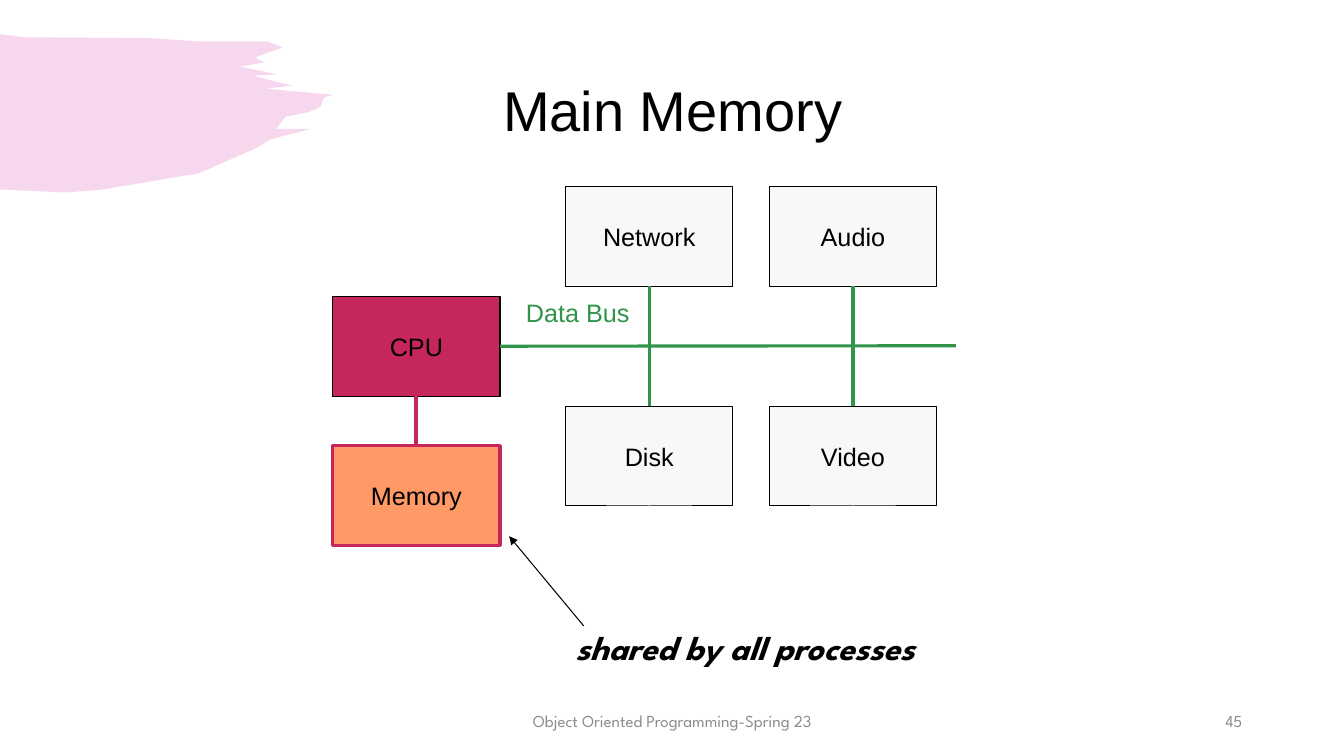
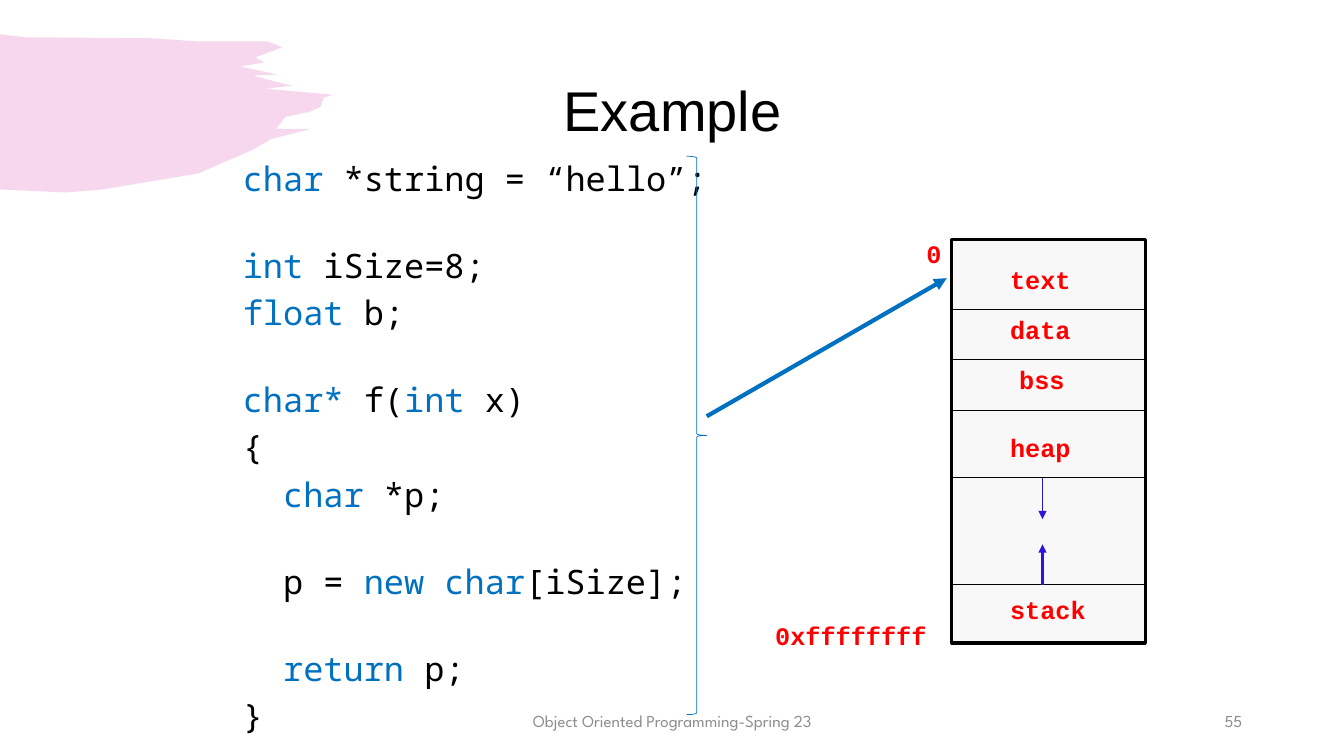
"""Build two lecture slides on main memory and the layout of a program in memory."""
from lxml import etree
from pptx import Presentation
from pptx.dml.color import RGBColor
from pptx.enum.shapes import MSO_CONNECTOR, MSO_SHAPE
from pptx.enum.text import MSO_ANCHOR, MSO_AUTO_SIZE, PP_ALIGN
from pptx.oxml.ns import qn
from pptx.util import Inches, Pt

LEFT, CENTER, RIGHT = PP_ALIGN.LEFT, PP_ALIGN.CENTER, PP_ALIGN.RIGHT
TOP, MIDDLE = MSO_ANCHOR.TOP, MSO_ANCHOR.MIDDLE
STRAIGHT = MSO_CONNECTOR.STRAIGHT
RECTANGLE, RIGHT_BRACE = MSO_SHAPE.RECTANGLE, MSO_SHAPE.RIGHT_BRACE
NO_AUTOFIT = MSO_AUTO_SIZE.NONE

BLACK = RGBColor(0x00, 0x00, 0x00)
GRAY = RGBColor(0x8C, 0x8C, 0x8C)
PALE = RGBColor(0xF8, 0xF8, 0xF8)
PINK = RGBColor(0xD7, 0x39, 0xAE)
CRIMSON = RGBColor(0xC5, 0x27, 0x5A)
ORANGE = RGBColor(0xFF, 0x99, 0x66)
GREEN = RGBColor(0x31, 0x94, 0x4B)
BLUE = RGBColor(0x00, 0x70, 0xC0)
VIOLET = RGBColor(0x2C, 0x14, 0xDE)
RED = RGBColor(0xFF, 0x00, 0x00)

SANS, SCRIPT = "Arial", "League Spartan"
MONO, CODE_FONT = "Courier New", "Noto Sans Mono"

BRUSH_OUTLINE = (
    (0.25, 0.37), (1.51, 0.38), (1.94, 0.41), (2.65, 0.41), (2.8, 0.47),
    (2.53, 0.57), (2.62, 0.62), (2.38, 0.66), (2.75, 0.74), (2.51, 0.75),
    (2.73, 0.81), (2.9, 0.85), (2.63, 0.88), (3.3, 0.94), (3.21, 0.97),
    (3.18, 1.06), (3.07, 1.11), (2.83, 1.16), (2.74, 1.28), (3.08, 1.28),
    (2.69, 1.38), (2.52, 1.48), (1.97, 1.72), (1.02, 1.88), (0.65, 1.91), (0, 1.88),
)


def add_text(page, at, text, size, font, color, align=LEFT, anchor=TOP, bold=False, italic=False):
    """Add a one-line text box."""
    box = page.shapes.add_textbox(*map(Inches, at))
    box.text_frame.word_wrap = True
    box.text_frame.vertical_anchor = anchor
    para = box.text_frame.paragraphs[0]
    para.alignment = align
    span = para.add_run()
    span.text = text
    span.font.size, span.font.name, span.font.color.rgb = Pt(size), font, color
    span.font.bold, span.font.italic = bold, italic


def add_line(page, start, end, color, width, arrow=False):
    """Add a straight line, with an arrowhead at its end if wanted."""
    line = page.shapes.add_connector(STRAIGHT, *map(Inches, start + end))
    line.line.color.rgb = color
    line.line.width = Pt(width)
    if arrow:
        etree.SubElement(line.element.spPr.find(qn("a:ln")), qn("a:tailEnd"), type="triangle")
    etree.SubElement(line.element.spPr, qn("a:effectLst"))
    return line


deck = Presentation()
deck.slide_width, deck.slide_height = Inches(13.33), Inches(7.5)
layout = deck.slide_layouts.get_by_name("Title Only")
heading = layout.placeholders[0]
heading.left, heading.top, heading.width, heading.height = map(Inches, (0.92, 0.4, 11.5, 1.45))

pages = []
for title, number in (("Main Memory", "45"), ("Example", "55")):
    page = deck.slides.add_slide(layout)
    frame = page.shapes.title.text_frame
    frame.auto_size = NO_AUTOFIT
    frame.vertical_anchor = MIDDLE
    para = frame.paragraphs[0]
    para.alignment, para.line_spacing = CENTER, 0.9
    span = para.add_run()
    span.text = title
    span.font.size, span.font.name, span.font.color.rgb = Pt(40), SANS, BLACK
    add_text(page, (4.42, 6.95, 4.5, 0.4), "Object Oriented Programming-Spring 23",
             12, SCRIPT, GRAY, CENTER, MIDDLE)
    add_text(page, (9.42, 6.95, 3, 0.4), number, 12, SCRIPT, GRAY, RIGHT, MIDDLE)
    pages.append(page)
memory_page, example_page = pages

builder = memory_page.shapes.build_freeform(0, Inches(0.34))
builder.add_line_segments([(Inches(x), Inches(y)) for x, y in BRUSH_OUTLINE], close=True)
brush = builder.convert_to_shape()
brush.shadow.inherit = False
brush.fill.solid()
brush.fill.fore_color.rgb = PINK
brush.line.fill.background()
brush_color = brush.element.spPr.find(qn("a:solidFill"))[0]
etree.SubElement(brush_color, qn("a:alpha"), val="20000")
layout.shapes.element.insert(2, brush.element)

parts = {}
for name, left, top, fill, edge, width in (
    ("CPU", 3.3, 2.94, CRIMSON, BLACK, 0.75),
    ("Memory", 3.3, 4.42, ORANGE, CRIMSON, 2.25),
    ("Network", 5.61, 1.85, PALE, BLACK, 0.75),
    ("Audio", 7.63, 1.85, PALE, BLACK, 0.75),
    ("Disk", 5.61, 4.03, PALE, BLACK, 0.75),
    ("Video", 7.63, 4.03, PALE, BLACK, 0.75),
):
    box = memory_page.shapes.add_shape(RECTANGLE, *map(Inches, (left, top, 1.66, 0.99)))
    box.shadow.inherit = False
    box.fill.solid()
    box.fill.fore_color.rgb = fill
    box.line.color.rgb, box.line.width = edge, Pt(width)
    box.text_frame.word_wrap = False
    box.text_frame.vertical_anchor = MIDDLE
    para = box.text_frame.paragraphs[0]
    para.alignment = CENTER
    span = para.add_run()
    span.text = name
    span.font.size, span.font.name, span.font.color.rgb = Pt(18), SANS, BLACK
    parts[name] = box

for upper, lower, color, width in (
    ("CPU", "Memory", CRIMSON, 2.75),
    ("Network", "Disk", GREEN, 2.25),
    ("Audio", "Video", GREEN, 2.25),
):
    link = add_line(memory_page, (0, 0), (0, 0), color, width)
    link.begin_connect(parts[upper], 2)
    link.end_connect(parts[lower], 0)
bus = add_line(memory_page, (4.96, 3.43), (9.48, 3.43), GREEN, 2.25)
bus.begin_connect(parts["CPU"], 3)
add_text(memory_page, (5.01, 2.9, 1.44, 0.52), "Data Bus", 18, SANS, GREEN, CENTER)
add_text(memory_page, (5.61, 6.17, 4.42, 0.51), "shared by all processes",
         24, SCRIPT, BLACK, bold=True, italic=True)
add_line(memory_page, (5.79, 6.21), (5.05, 5.32), BLACK, 0.75, arrow=True)

LINE_GAP, BLOCK_GAP = 4.8, 33.4
code_lines = (
    (0, (("char", BLUE), (" *string = “hello”;", BLACK))),
    (BLOCK_GAP, (("int ", BLUE), ("iSize=8;", BLACK))),
    (LINE_GAP, (("float", BLUE), (" b;", BLACK))),
    (BLOCK_GAP, (("char* ", BLUE), ("f(", BLACK), ("int", BLUE), (" x)", BLACK))),
    (LINE_GAP, (("{", BLACK),)),
    (LINE_GAP, (("  char", BLUE), (" *p;", BLACK))),
    (BLOCK_GAP, (("  p = ", BLACK), ("new char", BLUE), ("[iSize];", BLACK))),
    (BLOCK_GAP, (("  return", BLUE), (" p;", BLACK))),
    (LINE_GAP, (("}", BLACK),)),
)
code = example_page.shapes.add_textbox(*map(Inches, (2.31, 1.52, 9, 5.68))).text_frame
code.word_wrap = True
for index, (gap, spans) in enumerate(code_lines):
    para = code.add_paragraph() if index else code.paragraphs[0]
    para.space_before = Pt(gap)
    for text, color in spans:
        span = para.add_run()
        span.text = text
        span.font.size, span.font.name, span.font.color.rgb = Pt(24), CODE_FONT, color

memory_map = example_page.shapes.add_shape(RECTANGLE, *map(Inches, (9.44, 2.38, 1.92, 4)))
memory_map.shadow.inherit = False
memory_map.fill.solid()
memory_map.fill.fore_color.rgb = PALE
memory_map.line.color.rgb, memory_map.line.width = BLACK, Pt(2.25)
for y in (3.07, 3.57, 4.07, 4.74, 5.8):
    add_line(example_page, (9.44, y), (11.35, y), BLACK, 0.75)
for text, left, top, width in (
    ("0", 9.09, 2.32, 0.42),
    ("0xffffffff", 7.59, 6.11, 1.8),
    ("text", 9.92, 2.57, 1.25),
    ("data", 9.92, 3.07, 1.25),
    ("bss", 10.01, 3.57, 1.25),
    ("heap", 9.92, 4.24, 1.25),
    ("stack", 9.92, 5.85, 1.25),
):
    add_text(example_page, (left, top, width, 0.4), text, 18, MONO, RED, bold=True)
add_line(example_page, (10.34, 4.74), (10.34, 5.15), VIOLET, 1.25, arrow=True)
add_line(example_page, (10.34, 5.8), (10.34, 5.4), VIOLET, 1.5, arrow=True)
add_line(example_page, (7.01, 4.13), (9.39, 2.76), BLUE, 3, arrow=True)

brace = example_page.shapes.add_shape(RIGHT_BRACE, *map(Inches, (6.81, 1.55, 0.2, 5.54)))
brace.shadow.inherit = False
brace.fill.background()
brace.line.color.rgb, brace.line.width = BLUE, Pt(0.5)

deck.save("out.pptx")
